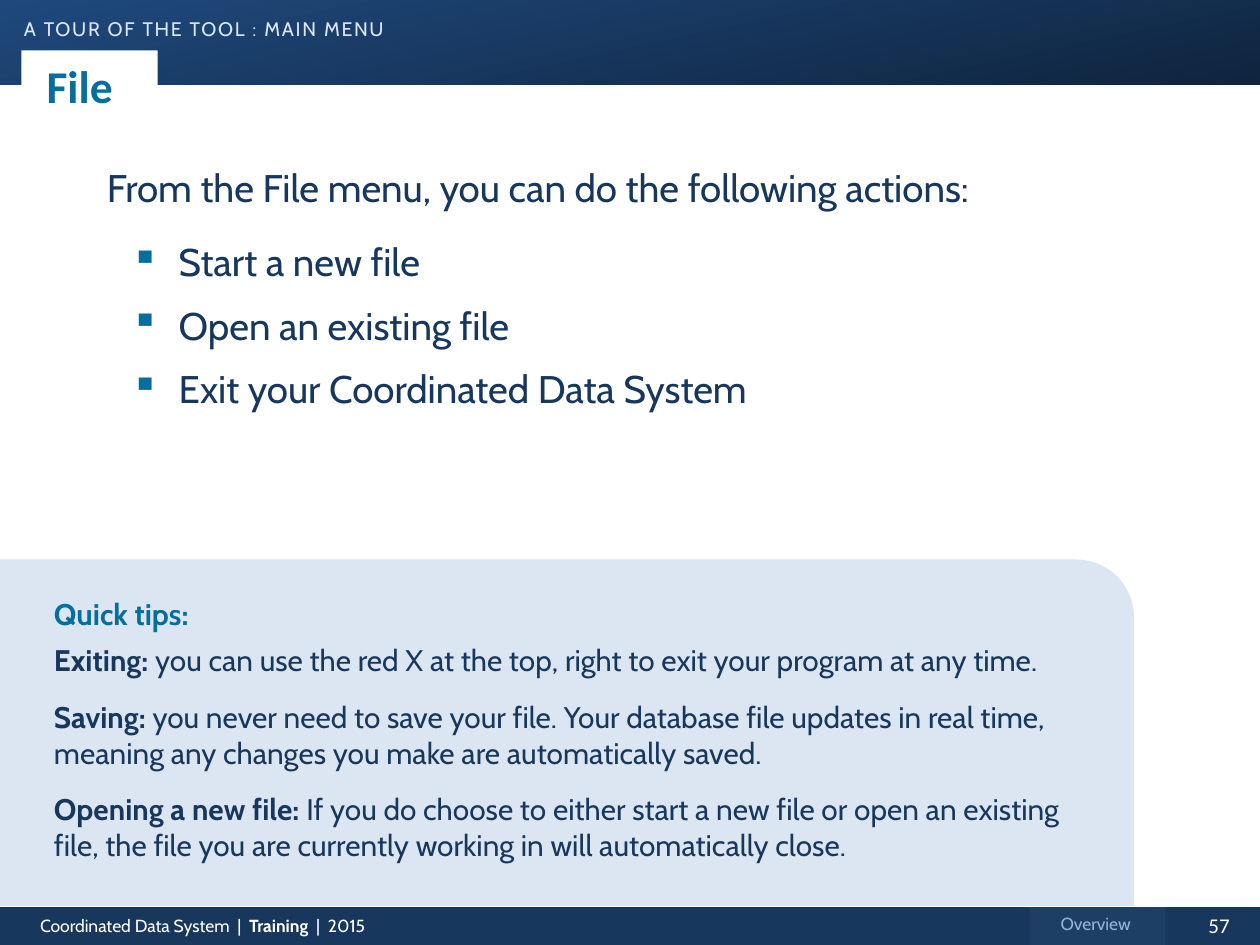
from lxml.etree import SubElement
from pptx import Presentation
from pptx.dml.color import RGBColor
from pptx.enum.shapes import MSO_SHAPE
from pptx.enum.text import MSO_ANCHOR, PP_ALIGN
from pptx.oxml.ns import qn
from pptx.util import Inches, Pt

WHITE = RGBColor(0xFF, 0xFF, 0xFF)
NAVY = RGBColor(0x17, 0x37, 0x5D)
BODY_NAVY = RGBColor(0x17, 0x37, 0x5E)
HEADER_START = RGBColor(0x1F, 0x49, 0x7D)
HEADER_END = RGBColor(0x0F, 0x24, 0x3E)
TAB_BLUE = RGBColor(0x1E, 0x3F, 0x65)
TAB_TEXT = RGBColor(0x95, 0xB3, 0xD7)
PALE_BLUE = RGBColor(0xDC, 0xE6, 0xF2)
TEAL = RGBColor(0x06, 0x6E, 0x9F)


class SlideBuilder:
    """Holds the font and the current slide, and adds elements to it."""

    def __init__(self, slide, font="Cabin"):
        self.slide = slide
        self.font = font

    def box(self, left, top, width, height, color, kind=MSO_SHAPE.RECTANGLE):
        shape = self.slide.shapes.add_shape(
            kind, Inches(left), Inches(top), Inches(width), Inches(height))
        shape.shadow.inherit = False
        shape.line.fill.background()
        shape.fill.solid()
        shape.fill.fore_color.rgb = color
        return shape

    def gradient_box(self, left, top, width, height, start, end, angle):
        shape = self.box(left, top, width, height, start)
        shape.fill.gradient()
        shape.fill.gradient_angle = angle
        for stop, color, position in zip(shape.fill.gradient_stops, (start, end), (0, 1)):
            stop.color.rgb = color
            stop.position = position
        return shape

    def text_frame(self, left, top, width, height, wrap=True):
        shape = self.slide.shapes.add_textbox(
            Inches(left), Inches(top), Inches(width), Inches(height))
        shape.text_frame.word_wrap = wrap
        return shape.text_frame

    def paragraph(self, frame, align=PP_ALIGN.LEFT, before=0, after=0):
        paragraph = frame.paragraphs[0]
        if paragraph.runs:
            paragraph = frame.add_paragraph()
        paragraph.alignment = align
        paragraph.space_before = Pt(before)
        paragraph.space_after = Pt(after)
        return paragraph

    def run(self, paragraph, text, size, color, bold=False, font=None):
        run = paragraph.add_run()
        run.text = text
        run.font.name = font or self.font
        run.font.size = Pt(size)
        run.font.bold = bold
        run.font.color.rgb = color
        return run

    def bullet(self, paragraph, character, color, margin, hanging):
        properties = paragraph._p.get_or_add_pPr()
        properties.set("marL", str(Inches(margin)))
        properties.set("indent", str(-Inches(hanging)))
        bullet_color = SubElement(properties, qn("a:buClr"))
        SubElement(bullet_color, qn("a:srgbClr")).set("val", str(color))
        SubElement(properties, qn("a:buChar")).set("char", character)


def main():
    presentation = Presentation()
    presentation.slide_width = Inches(10)
    presentation.slide_height = Inches(7.5)
    builder = SlideBuilder(presentation.slides.add_slide(presentation.slide_layouts[6]))

    # Header band with the section name
    builder.gradient_box(0, 0, 10.01, 0.67, HEADER_START, HEADER_END, 282)
    frame = builder.text_frame(0.19, 0.05, 2.92, 0.34, wrap=False)
    frame.margin_left = frame.margin_right = 0
    section = builder.run(builder.paragraph(frame, before=2.5),
                          "a tour of the tool : main menu", 14, PALE_BLUE)
    section_properties = section.font._element
    section_properties.set("cap", "small")
    section_properties.set("spc", "100")

    # Title tab
    title = builder.box(0.17, 0.4, 1.08, 0.56, WHITE, MSO_SHAPE.ROUND_2_SAME_RECTANGLE)
    title.adjustments[0] = 0
    frame = title.text_frame
    frame.word_wrap = False
    frame.vertical_anchor = MSO_ANCHOR.MIDDLE
    frame.margin_left = frame.margin_right = Inches(0.2)
    builder.run(builder.paragraph(frame), "File", 26, TEAL, bold=True, font="Calibri")

    # Menu actions
    frame = builder.text_frame(0.75, 1.25, 8.58, 3.1)
    introduction = builder.paragraph(frame, before=4, after=12)
    builder.run(introduction, "From the File menu, you can do the following actions:",
                22, BODY_NAVY)
    for action in ("Start a new file", "Open an existing file",
                   "Exit your Coordinated Data System"):
        paragraph = builder.paragraph(frame, before=4, after=6)
        builder.bullet(paragraph, "▪", TEAL, margin=0.57, hanging=0.38)
        builder.run(paragraph, action, 22, BODY_NAVY)

    # Quick tips panel
    builder.box(0, 4.44, 9, 2.75, PALE_BLUE, MSO_SHAPE.ROUND_1_RECTANGLE)
    frame = builder.text_frame(0.33, 4.68, 8.58, 2.61)
    builder.run(builder.paragraph(frame, after=6), "Quick tips:", 17, TEAL, bold=True)
    tips = (
        ("Exiting: ", "you can use the red X at the top, right to exit your program "
                      "at any time."),
        ("Saving: ", "you never need to save your file. Your database file updates in "
                     "real time, meaning any changes you make are automatically saved."),
        ("Opening a new file: ", "If you do choose to either start a new file or open an "
                                 "existing file, the file you are currently working in "
                                 "will automatically close."),
    )
    for label, advice in tips:
        paragraph = builder.paragraph(frame, after=12)
        builder.run(paragraph, label, 17, NAVY, bold=True)
        builder.run(paragraph, advice, 17, NAVY)

    # Footer bar
    builder.box(0, 7.2, 10.01, 0.32, NAVY)
    builder.box(8.17, 7.2, 1.08, 0.31, TAB_BLUE)
    paragraph = builder.paragraph(builder.text_frame(0.22, 7.21, 4.53, 0.27))
    for text, bold in (("Coordinated Data System  |  ", False), ("Training", True),
                       ("  |  2015", False)):
        builder.run(paragraph, text, 10, WHITE, bold)
    overview = builder.paragraph(builder.text_frame(8.17, 7.2, 1.05, 0.27), PP_ALIGN.CENTER)
    builder.run(overview, "Overview", 10, TAB_TEXT)
    number = builder.paragraph(builder.text_frame(9.35, 7.19, 0.65, 0.3), PP_ALIGN.CENTER)
    builder.run(number, "57", 12, WHITE, font="Calibri")

    presentation.save("out.pptx")


if __name__ == "__main__":
    main()
